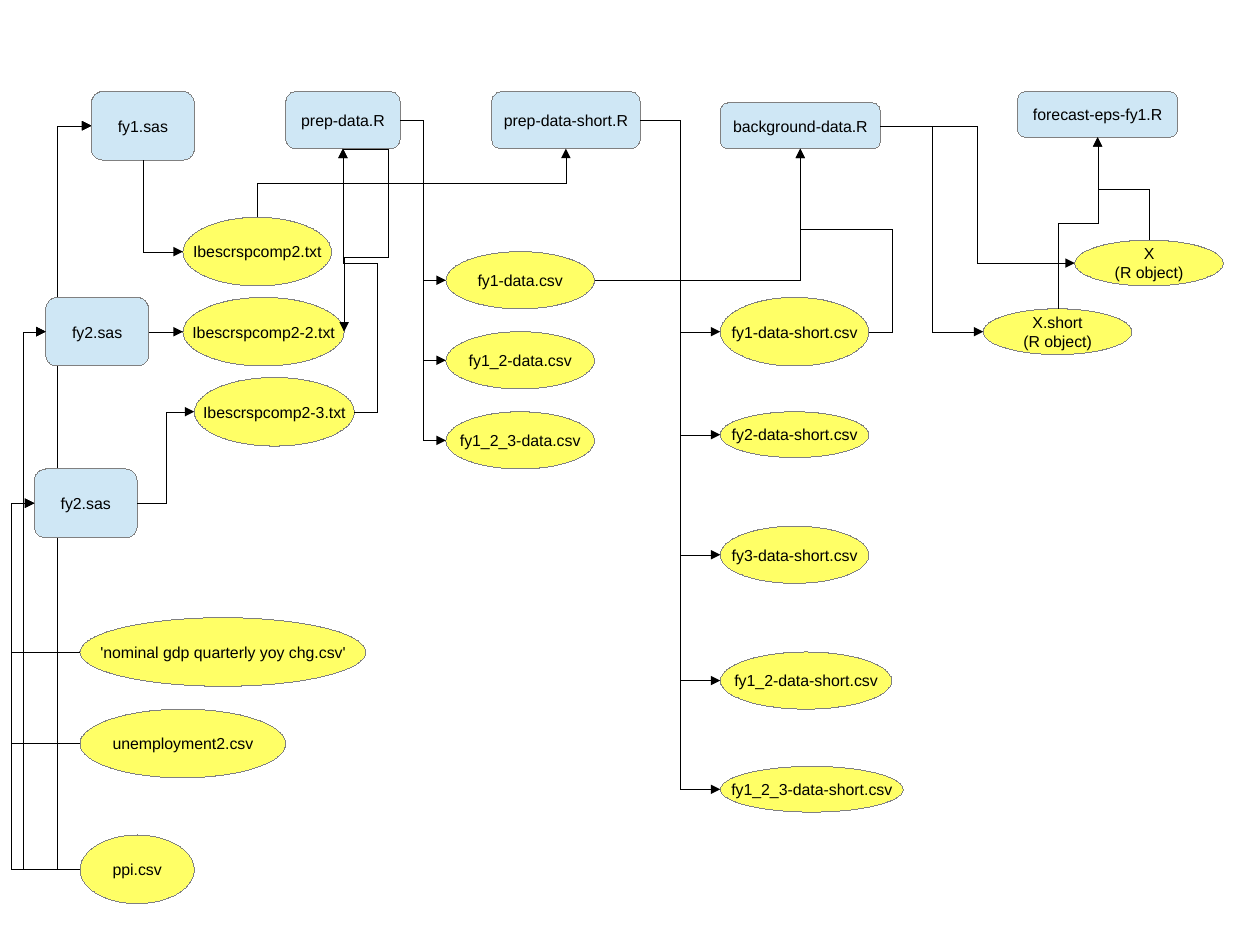
from lxml import etree
from pptx import Presentation
from pptx.dml import color
from pptx.enum import shapes, text
from pptx.oxml import ns
from pptx.util import Cm, Pt

COLORS = {"script": "CFE7F5", "data": "FFFF66", "outline": "808080", "ink": "000000"}
PRESETS = {
    "script": shapes.MSO_SHAPE.FLOWCHART_ALTERNATE_PROCESS,
    "data": shapes.MSO_SHAPE.FLOWCHART_CONNECTOR,
}
UNIT = 2.54
HAIRLINE = Pt(0.01)
TOP, LEFT, BOTTOM, RIGHT = range(4)

NODES = {
    "prep": ("script", "prep-data.R", 2.5, 0.8, 1, 0.5),
    "background": ("script", "background-data.R", 6.3, 0.9, 1.4, 0.4),
    "forecast": ("script", "forecast-eps-fy1.R", 8.9, 0.8, 1.4, 0.4),
    "sas1": ("script", "fy1.sas", 0.8, 0.8, 0.9, 0.6),
    "comp1": ("data", "Ibescrspcomp2.txt", 1.6, 1.9, 1.3, 0.6),
    "gdp": ("data", "'nominal gdp quarterly yoy chg.csv'", 0.7, 5.4, 2.5, 0.6),
    "unemployment": ("data", "unemployment2.csv", 0.7, 6.2, 1.8, 0.6),
    "ppi": ("data", "ppi.csv", 0.7, 7.3, 1, 0.6),
    "data1": ("data", "fy1-data.csv", 3.9, 2.2, 1.3, 0.5),
    "data12": ("data", "fy1_2-data.csv", 3.9, 2.9, 1.3, 0.5),
    "data123": ("data", "fy1_2_3-data.csv", 3.9, 3.6, 1.3, 0.5),
    "prep_short": ("script", "prep-data-short.R", 4.3, 0.8, 1.3, 0.5),
    "short1": ("data", "fy1-data-short.csv", 6.3, 2.6, 1.3, 0.6),
    "short2": ("data", "fy2-data-short.csv", 6.3, 3.6, 1.3, 0.4),
    "short3": ("data", "fy3-data-short.csv", 6.3, 4.6, 1.3, 0.5),
    "short12": ("data", "fy1_2-data-short.csv", 6.3, 5.7, 1.5, 0.5),
    "short123": ("data", "fy1_2_3-data-short.csv", 6.3, 6.7, 1.6, 0.4),
    "x": ("data", "X\n(R object)", 9.4, 2.1, 1.3, 0.4),
    "x_short": ("data", "X.short\n(R object)", 8.6, 2.7, 1.3, 0.4),
    "sas2": ("script", "fy2.sas", 0.4, 2.6, 0.9, 0.6),
    "sas3": ("script", "fy2.sas", 0.3, 4.1, 0.9, 0.6),
    "comp2": ("data", "Ibescrspcomp2-2.txt", 1.6, 2.6, 1.41, 0.6),
    "comp3": ("data", "Ibescrspcomp2-3.txt", 1.7, 3.3, 1.4, 0.6),
}
INPUTS = ["gdp", "unemployment", "ppi"]

presentation = Presentation()
presentation.slide_width = Cm(11.02 * UNIT)
presentation.slide_height = Cm(8.27 * UNIT)
slide = presentation.slides.add_slide(presentation.slide_layouts[6])


def side_middle(node, side):
    left, top, width, height = NODES[node][2:]
    across, down = [(0.5, 0), (0, 0.5), (0.5, 1), (1, 0.5)][side]
    return left + width * across, top + height * down


def add_arrow(source, source_side, target, target_side, bends=(), straight=False):
    start, end = side_middle(source, source_side), side_middle(target, target_side)
    upright = len(bends) < 2 and source_side in (TOP, BOTTOM)
    ends = [*start, *end]
    if upright:
        middle_x, middle_y = (start[0] + end[0]) / 2, (start[1] + end[1]) / 2
        ends = [
            value
            for x, y in (start, end)
            for value in (middle_x + y - middle_y, middle_y - x + middle_x)
        ]
    kind = shapes.MSO_CONNECTOR.STRAIGHT if straight else shapes.MSO_CONNECTOR.ELBOW
    connector = slide.shapes.add_connector(kind, *[Cm(value * UNIT) for value in ends])
    connector.line.width = HAIRLINE
    connector.line.color.rgb = color.RGBColor.from_string(COLORS["ink"])
    properties = connector.element.spPr
    if upright:
        properties.find(ns.qn("a:xfrm")).set("rot", "5400000")
    if not straight:
        geometry = properties.find(ns.qn("a:prstGeom"))
        geometry.set("prst", f"bentConnector{len(bends) + 2}")
        guides = geometry.find(ns.qn("a:avLst"))
        for number, bend in enumerate(bends):
            axis = (number + upright) % 2
            ratio = (bend - start[axis]) / (end[axis] - start[axis])
            etree.SubElement(guides, ns.qn("a:gd"), name=f"adj{number + 1}",
                             fmla=f"val {round(ratio * 100000)}")
    etree.SubElement(properties.find(ns.qn("a:ln")), ns.qn("a:tailEnd"), type="triangle")
    etree.SubElement(properties, ns.qn("a:effectLst"))
    return connector


for source in INPUTS:
    add_arrow(source, LEFT, "sas1", LEFT, [0.5])

drawn = {}
for node, (kind, label, *box) in NODES.items():
    shape = slide.shapes.add_shape(PRESETS[kind], *[Cm(value * UNIT) for value in box])
    shape.shadow.inherit = False
    shape.fill.solid()
    shape.fill.fore_color.rgb = color.RGBColor.from_string(COLORS[kind])
    shape.line.color.rgb = color.RGBColor.from_string(COLORS["outline"])
    shape.line.width = HAIRLINE
    frame = shape.text_frame
    frame.text = label
    frame.word_wrap = False
    frame.vertical_anchor = text.MSO_ANCHOR.MIDDLE
    for paragraph in frame.paragraphs:
        paragraph.alignment = text.PP_ALIGN.CENTER
        for run in paragraph.runs:
            run.font.name = "Arial"
            run.font.size = Pt(10)
            run.font.color.rgb = color.RGBColor.from_string(COLORS["ink"])
    drawn[node] = shape

for source in INPUTS:
    add_arrow(source, LEFT, "sas2", LEFT, [0.2])
    add_arrow(source, LEFT, "sas3", LEFT, [0.1])

for source, targets, bend in [
    ("prep", ["data1", "data12", "data123"], 3.7),
    ("prep_short", ["short1", "short2", "short3", "short12", "short123"], 5.95),
    ("background", ["x"], 8.55),
    ("background", ["x_short"], 8.15),
    ("sas3", ["comp3"], 1.45),
]:
    for target in targets:
        add_arrow(source, RIGHT, target, LEFT, [bend])

for source, target, bend in [
    ("comp1", "prep", 1.6),
    ("comp1", "prep_short", 1.6),
    ("x", "forecast", 1.65),
    ("x_short", "forecast", 1.95),
]:
    add_arrow(source, TOP, target, BOTTOM, [bend])

add_arrow("sas1", BOTTOM, "comp1", LEFT)
add_arrow("data1", RIGHT, "background", BOTTOM)
add_arrow("short1", RIGHT, "background", BOTTOM, [7.8, 2])
add_arrow("prep", BOTTOM, "comp2", RIGHT, [3.4, 2.25])
add_arrow("comp3", RIGHT, "prep", BOTTOM, [3.3, 2.3])
add_arrow("sas2", RIGHT, "comp2", LEFT, straight=True).begin_connect(drawn["sas2"], RIGHT)

presentation.save("out.pptx")
